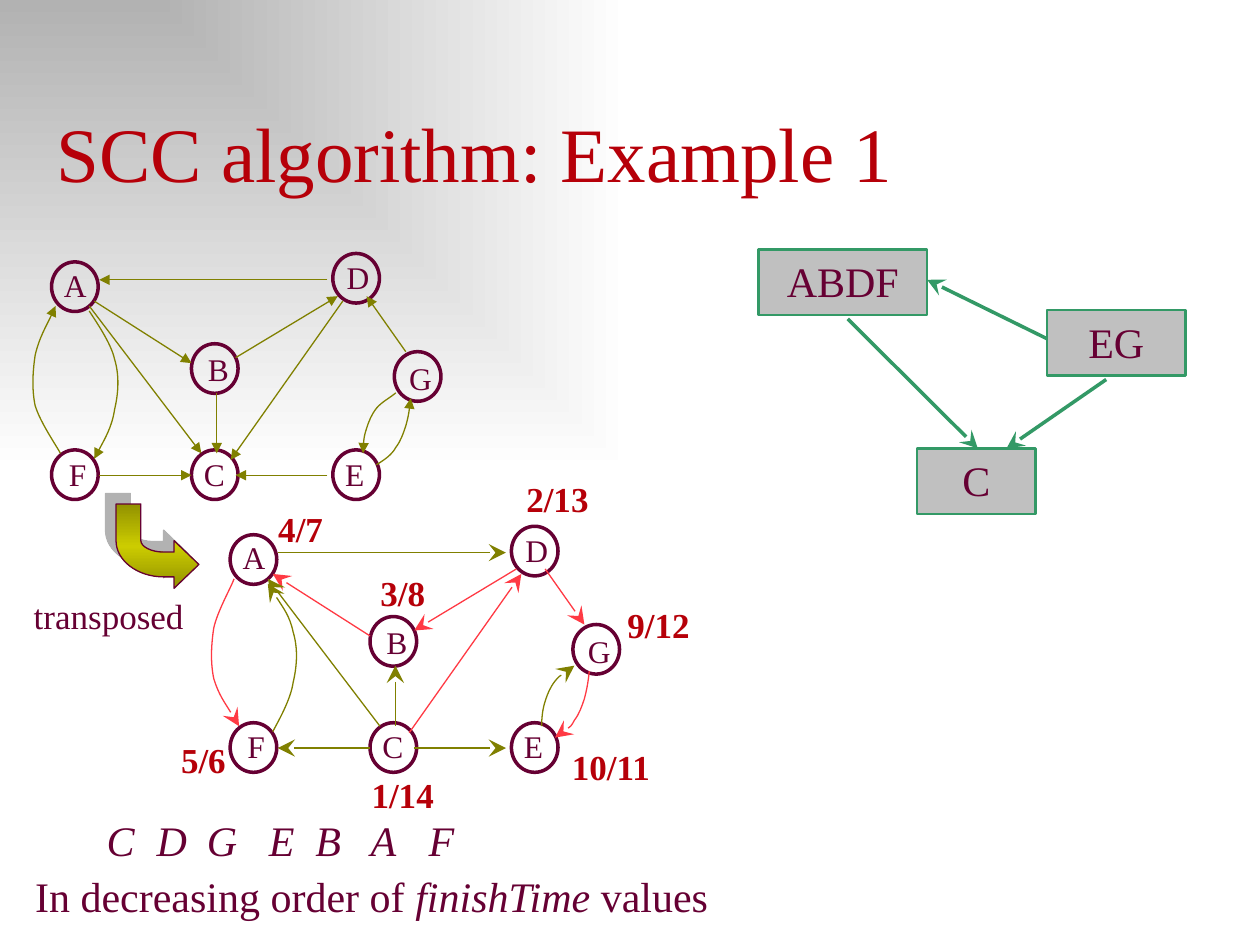
import copy

import pptx
import pptx.dml.color
import pptx.enum.dml
import pptx.enum.shapes
import pptx.enum.text
import pptx.oxml.ns
import pptx.util
from lxml import etree

Cm, Pt = pptx.util.Cm, pptx.util.Pt
qn = pptx.oxml.ns.qn
SHAPE = pptx.enum.shapes.MSO_SHAPE
STRAIGHT = pptx.enum.shapes.MSO_CONNECTOR.STRAIGHT
ALIGN = pptx.enum.text.PP_ALIGN
ANCHOR = pptx.enum.text.MSO_ANCHOR

COLOURS = {
    "title": "B60009", "text": "660033", "edge": "808000", "tree": "FF3A44",
    "component": "339966", "box": "C0C0C0", "grey": "B2B2B2", "white": "FFFFFF",
    "dark gold": "929200", "gold": "CCCC00",
}
RGB = {name: pptx.dml.color.RGBColor.from_string(code) for name, code in COLOURS.items()}

presentation = pptx.Presentation()
presentation.slide_width, presentation.slide_height = Cm(25.4), Cm(19.05)
slide = presentation.slides.add_slide(presentation.slide_layouts[6])
shapes = slide.shapes


def write(shape, runs, size, colour="text", bold=False, align=ALIGN.LEFT, anchor=ANCHOR.TOP):
    """Fill a shape with one paragraph of (text, italic) runs."""
    frame = shape.text_frame
    frame.word_wrap = True
    frame.vertical_anchor = anchor
    paragraph = frame.paragraphs[0]
    paragraph.alignment = align
    for text, italic in runs:
        run = paragraph.add_run()
        run.text = text
        run.font.name = "Times New Roman"
        run.font.size = Pt(size)
        run.font.bold, run.font.italic = bold, italic
        run.font.color.rgb = RGB[colour]
    return paragraph


def style_line(shape, colour, width, end=None, arrow="triangle", size="med"):
    """Set the line, an optional arrowhead, and an empty effect list."""
    shape.line.color.rgb = RGB[colour]
    shape.line.width = Pt(width)
    properties = shape._element.spPr
    if end:
        line = properties.find(qn("a:ln"))
        etree.SubElement(line, qn(f"a:{end}"), type=arrow, w=size, len=size)
    etree.SubElement(properties, qn("a:effectLst"))


# Background: grey corner fading to white
background = slide.background.fill
background.gradient()
for stop, name in zip(background.gradient_stops, ("grey", "white")):
    stop.color.rgb = RGB[name]
gradient = slide._element.find(".//" + qn("a:gradFill"))
gradient.remove(gradient.find(qn("a:lin")))
shade = etree.SubElement(gradient, qn("a:path"))
shade.set("path", "rect")
etree.SubElement(shade, qn("a:fillToRect"), r="100000", b="100000")

# Title and the order of the vertices
title = shapes.add_textbox(Cm(0.89), Cm(2), Cm(24), Cm(2.11))
write(title, [("SCC algorithm: Example 1", False)], 44, "title", anchor=ANCHOR.BOTTOM)

order = shapes.add_textbox(Cm(1.9), Cm(16.3), Cm(10.36), Cm(1.27))
paragraph = write(order, [("C\tD\tG\tE\tB\tA\tF", True)], 24)
tabs = etree.SubElement(paragraph._p.get_or_add_pPr(), qn("a:tabLst"))
for position in (1.01, 2.02, 3.27, 4.21, 5.32, 6.49):
    etree.SubElement(tabs, qn("a:tab"), pos=str(Cm(position)), algn="l")

caption = shapes.add_textbox(Cm(0.46), Cm(17.42), Cm(22.83), Cm(1.27))
write(caption, [("In decreasing order of ", False), ("finishTime", True), (" values", False)], 24)

# Graph: node name, left, top, and shift of its letter
nodes = [
    ("A", 1.04, 5.28, 0, -0.05), ("D", 6.71, 5.11, 0.03, -0.03),
    ("G", 7.95, 7.09, 0.05, 0.02), ("E", 6.71, 9.07, 0, -0.03),
    ("B", 3.86, 6.93, 0.08, 0), ("C", 3.86, 9.07, 0, -0.03),
    ("F", 1.04, 9.07, 0.1, -0.03),
]
# Straight edges: start, end, and colour in the transposed graph
edges = [
    (6.6, 5.64, 2, 5.64, "edge"), (1.9, 6.07, 3.86, 7.32, "tree"),
    (4.75, 7.21, 6.81, 5.97, "tree"), (4.37, 7.92, 4.37, 9.14, "edge"),
    (6.91, 6.07, 4.65, 9.27, "tree"), (2, 9.58, 3.86, 9.58, "edge"),
    (6.6, 9.58, 4.75, 9.58, "edge"), (8.18, 7.09, 7.39, 5.97, "tree"),
    (1.8, 6.17, 4.06, 9.14, "edge"),
]
# Curved edges: start and control points, and colour in the transposed graph
curves = [
    ([(1.22, 9.14), (1.14, 8.99), (0.81, 8.51), (0.71, 8.18), (0.64, 7.85),
      (0.66, 7.49), (0.71, 7.16), (0.79, 6.81), (1.04, 6.38), (1.12, 6.17)], "tree"),
    ([(1.8, 6.27), (1.9, 6.43), (2.24, 6.91), (2.31, 7.24), (2.41, 7.57),
      (2.39, 7.92), (2.31, 8.26), (2.26, 8.61), (2.01, 9.04), (1.9, 9.25)], "edge"),
    ([(7.98, 7.92), (7.85, 8.03), (7.7, 8.1), (7.59, 8.23), (7.49, 8.36),
      (7.44, 8.48), (7.39, 8.64), (7.34, 8.79), (7.32, 8.97), (7.32, 9.14)], "edge"),
    ([(7.59, 9.37), (7.75, 9.27), (7.9, 9.17), (7.98, 9.02), (8.08, 8.89),
      (8.13, 8.74), (8.18, 8.59), (8.23, 8.41), (8.26, 8.23), (8.28, 8.03)], "tree"),
]

# Draw the graph, then its transpose with the arrowheads at the other end
outlines = []
for dx, dy, transposed in ((0, 0, False), (3.6, 5.5, True)):
    head = ("headEnd", "stealth", "lg") if transposed else ("tailEnd", "triangle", "med")
    for name, left, top, shift_x, shift_y in nodes:
        circle = shapes.add_shape(SHAPE.OVAL, Cm(left + dx), Cm(top + dy), Cm(0.94), Cm(1))
        circle.fill.background()
        style_line(circle, "text", 2)
    for x1, y1, x2, y2, colour in edges:
        edge = shapes.add_connector(STRAIGHT, Cm(x1 + dx), Cm(y1 + dy), Cm(x2 + dx), Cm(y2 + dy))
        style_line(edge, colour if transposed else "edge", 0.75, *head)
    for points, colour in curves:
        moved = [(Cm(x + dx), Cm(y + dy)) for x, y in points]
        builder = shapes.build_freeform(*moved[0])
        builder.add_line_segments(moved[1:], close=False)
        curve = builder.convert_to_shape()
        curve.fill.background()
        style_line(curve, colour if transposed else "edge", 0.75, *head)
        outlines.append((curve, "CCC"))
    for name, left, top, shift_x, shift_y in nodes:
        letter = shapes.add_textbox(Cm(left + dx + shift_x), Cm(top + dy + shift_y), Cm(1.27), Cm(1.02))
        write(letter, [(name, False)], 18)

# Bent block arrow
corners = [
    (4.01, 11.38), (3.51, 11.86), (3.51, 11.63), (3.3, 11.63), (2.77, 11.63), (2.34, 11.3),
    (2.34, 10.9), (2.34, 10.16), (2.84, 10.16), (2.84, 10.9), (2.84, 11.02), (3.05, 11.13),
    (3.3, 11.13), (3.51, 11.13), (3.51, 10.9),
]
corners = [(Cm(x), Cm(y)) for x, y in corners]
builder = shapes.build_freeform(*corners[0])
builder.add_line_segments(corners[1:], close=True)
bent_arrow = builder.convert_to_shape()
bent_arrow.fill.gradient()
bent_arrow.fill.gradient_angle = 90
stops = bent_arrow._element.spPr.find(".//" + qn("a:gsLst"))
middle = copy.deepcopy(stops[0])
middle.set("pos", "50000")
stops.insert(1, middle)
for stop, name in zip(bent_arrow.fill.gradient_stops, ("dark gold", "gold", "dark gold")):
    stop.color.rgb = RGB[name]
style_line(bent_arrow, "text", 0.75)
effects = bent_arrow._element.spPr.find(qn("a:effectLst"))
shadow = etree.SubElement(effects, qn("a:outerShdw"), blurRad="0", dist=str(Pt(8.5)),
                          dir=str(225 * 60000), algn="ctr", rotWithShape="0")
etree.SubElement(shadow, qn("a:srgbClr"), val=COLOURS["grey"])
outlines.append((bent_arrow, "LLLCLLLCLL"))

# Turn each marked group of three points into a Bézier segment
for outline, pattern in outlines:
    segments = iter(list(outline._element.iter(qn("a:lnTo"))))
    for kind in pattern:
        segment = next(segments)
        if kind == "C":
            segment.addprevious(bezier := etree.Element(qn("a:cubicBezTo")))
            for part in (segment, next(segments), next(segments)):
                bezier.append(part[0])
                part.getparent().remove(part)

note = shapes.add_textbox(Cm(0.43), Cm(11.86), Cm(3.61), Cm(1.09))
write(note, [("transposed", False)], 20)

# Component graph
for name, left, top, width in (("ABDF", 15.29, 5.03, 3.4), ("C", 18.49, 9.04, 2.39), ("EG", 21.11, 6.25, 2.79)):
    box = shapes.add_shape(SHAPE.RECTANGLE, Cm(left), Cm(top), Cm(width), Cm(1.32))
    box.fill.solid()
    box.fill.fore_color.rgb = RGB["box"]
    style_line(box, "component", 1.5)
    write(box, [(name, False)], 24, align=ALIGN.CENTER)
for ends in ((21.11, 6.83, 18.69, 5.64), (17.09, 6.43, 19.71, 9.04), (22.3, 7.65, 20.29, 9.04)):
    link = shapes.add_connector(STRAIGHT, *[Cm(value) for value in ends])
    style_line(link, "component", 2, "tailEnd", "stealth", "lg")

# Discovery and finish times
for times, left, top, width in (
    ("1/14", 7.24, 15.47, 1.88), ("5/6", 3.4, 14.76, 1.88), ("2/13", 10.36, 9.5, 1.88),
    ("9/12", 12.4, 12.04, 1.88), ("4/7", 5.36, 10.11, 1.88), ("3/8", 7.42, 11.4, 1.88),
    ("10/11", 11.28, 14.91, 2.34),
):
    label = shapes.add_textbox(Cm(left), Cm(top), Cm(width), Cm(1.09))
    write(label, [(times, False)], 20, "title", bold=True)

presentation.save("out.pptx")
